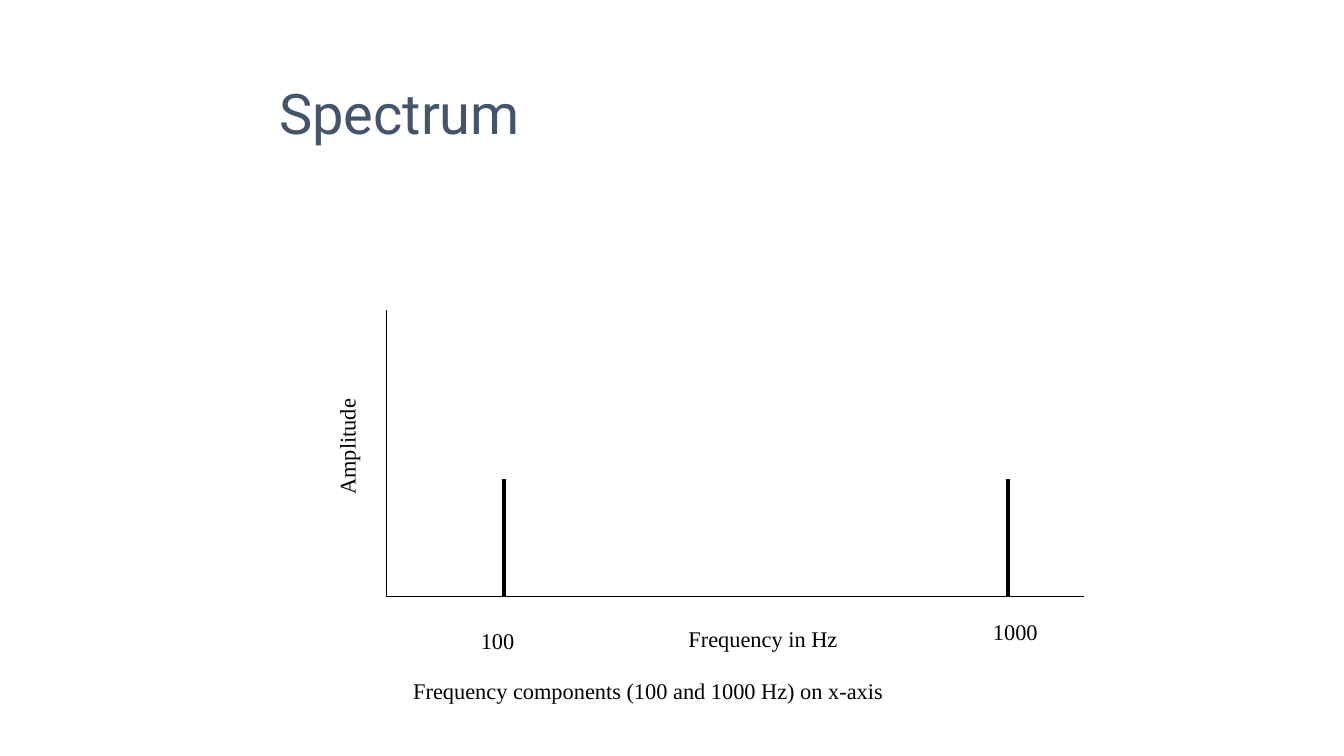
from pptx import Presentation
from pptx.dml.color import RGBColor
from pptx.enum import shapes, text
from pptx.oxml.ns import qn
from pptx.util import Inches, Pt
from lxml import etree

BLACK = RGBColor(0, 0, 0)
SLATE = RGBColor(0x44, 0x54, 0x6A)


def write(slide, words, x, y, w, h=0.37, size=16, font="Times New Roman",
          color=BLACK, anchor=text.MSO_ANCHOR.TOP, base=0.05, turn=0, space=None):
    box = slide.shapes.add_textbox(Inches(x), Inches(y), Inches(w), Inches(h))
    box.rotation = turn
    frame = box.text_frame
    frame.word_wrap = True
    frame.vertical_anchor = anchor
    frame.margin_bottom = Inches(base)
    para = frame.paragraphs[0]
    para.line_spacing = space
    run = para.add_run()
    run.text = words
    run.font.size = Pt(size)
    run.font.name = font
    run.font.color.rgb = color


def draw(slide, x1, y1, x2, y2, width=0.75):
    line = slide.shapes.add_connector(
        shapes.MSO_CONNECTOR.STRAIGHT,
        Inches(x1), Inches(y1), Inches(x2), Inches(y2))
    line.line.color.rgb = BLACK
    line.line.width = Pt(width)
    etree.SubElement(line._element.spPr, qn("a:effectLst"))


def add_title(slide, x, y, w, h):
    write(slide, "Spectrum", x, y, w, h, size=40, font="Roboto", color=SLATE,
          anchor=text.MSO_ANCHOR.BOTTOM, base=0.1, space=0.9)


def add_plot(slide, x, y, w, h):
    base = y + h
    draw(slide, x, y, x, base)
    draw(slide, x, base, x + w, base)
    for tone in (1.17, 6.17):
        draw(slide, x + tone, base - 1.17, x + tone, base, width=3)
    write(slide, "100", x + 0.84, base + 0.25, 1.25)
    write(slide, "1000", x + 5.92, base + 0.16, 1.08)
    write(slide, "Frequency in Hz", x + 2.9, base + 0.23, 1.68)
    write(slide, "Amplitude", x - 1.1, y + 1.03, 1.42, turn=270)
    write(slide, "Frequency components (100 and 1000 Hz) on x-axis",
          x + 0.17, base + 0.75, 4.87)


def main():
    deck = Presentation()
    deck.slide_width = Inches(13.33)
    deck.slide_height = Inches(7.5)
    slide = deck.slides.add_slide(deck.slide_layouts[6])
    add_title(slide, 2.67, 0.3, 8.5, 1.25)
    add_plot(slide, 3.83, 3.08, 6.92, 2.84)
    deck.save("out.pptx")


if __name__ == "__main__":
    main()
